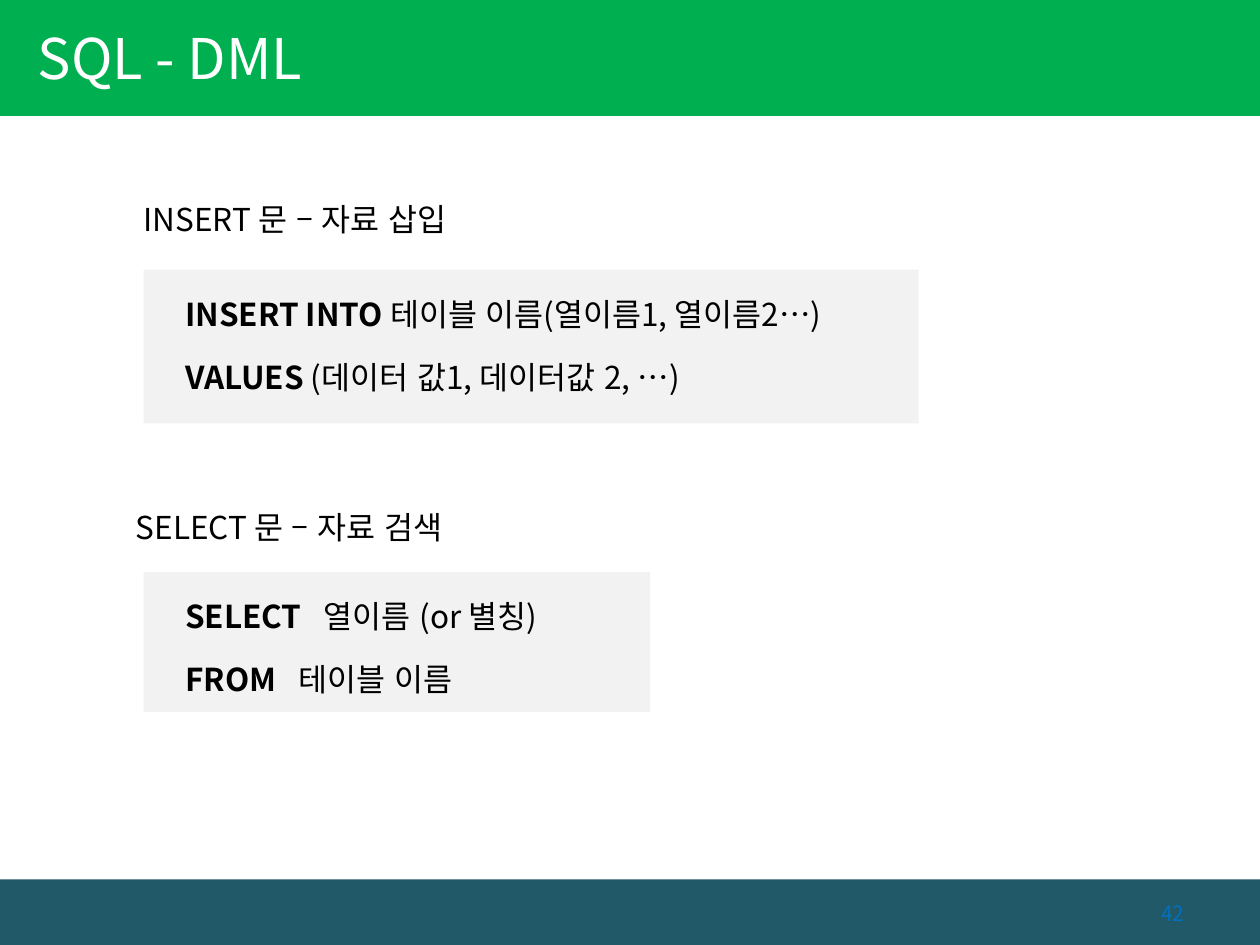
from lxml import etree
from pptx import Presentation
from pptx.dml.color import RGBColor
from pptx.enum.lang import MSO_LANGUAGE_ID
from pptx.enum.shapes import MSO_SHAPE
from pptx.enum.text import MSO_ANCHOR, PP_ALIGN
from pptx.oxml.ns import qn
from pptx.util import Inches, Pt

RECTANGLE = MSO_SHAPE.RECTANGLE
TOP, MIDDLE = MSO_ANCHOR.TOP, MSO_ANCHOR.MIDDLE
LEFT, RIGHT = PP_ALIGN.LEFT, PP_ALIGN.RIGHT
KOREAN = MSO_LANGUAGE_ID.KOREAN

THEME = {
    "font": "Noto Sans CJK KR",
    "title_size": 32, "body_size": 18, "number_size": 12,
    "white": "FFFFFF", "black": "000000", "header": "00B050",
    "footer": "215968", "blue": "0070C0", "panel": "F2F2F2",
}

TITLE = "SQL - DML"
PAGE_NUMBER = "42"
SECTIONS = [
    {
        "heading": "INSERT 문 – 자료 삽입", "heading_at": (1.04, 1.39, 3.56, 0.55),
        "panel_at": (1.14, 2.14, 6.15, 1.22),
        "lines": [("INSERT INTO ", "테이블 이름(열이름1, 열이름2…)", None),
                  ("VALUES", " (데이터 값1, 데이터값 2, …)", None)],
    },
    {
        "heading": "SELECT 문 – 자료 검색", "heading_at": (0.98, 3.83, 3.56, 0.55),
        "panel_at": (1.14, 4.54, 4.02, 1.11),
        "lines": [("SELECT\t", "열이름 (or 별칭)", 1.1),
                  ("FROM\t", "테이블 이름", 0.9)],
    },
]
BANDS = [
    ((0, 6.98, 10, 0.52), "footer"),
    ((0, 0, 10, 0.92), "header"),
]
PANEL_INSET = 0.33
LINE_SPACING = 1.5
SPACE_BEFORE = 3.6


def color(name):
    return RGBColor.from_string(THEME[name])


def add_block(slide, place, fill):
    shape = slide.shapes.add_shape(RECTANGLE, *map(Inches, place))
    shape.shadow.inherit = False
    shape.fill.solid()
    shape.fill.fore_color.rgb = color(fill)
    shape.line.fill.background()
    return shape


def set_frame(shape, anchor, inset=0.1):
    frame = shape.text_frame
    frame.word_wrap = True
    frame.vertical_anchor = anchor
    frame.margin_left = Inches(inset)
    return frame


def add_run(paragraph, text, size, ink, bold=False):
    run = paragraph.add_run()
    run.text = text
    run.font.name = THEME["font"]
    run.font.size = Pt(THEME[size])
    run.font.bold = bold
    run.font.language_id = KOREAN
    run.font.color.rgb = color(ink)
    properties = run.font._element
    etree.SubElement(properties, qn("a:ea")).set("typeface", THEME["font"])


def add_label(slide, text, place, size, ink, anchor, align=LEFT, inset=0.1, spacing=1.0):
    box = slide.shapes.add_textbox(*map(Inches, place))
    paragraph = set_frame(box, anchor, inset).paragraphs[0]
    paragraph.alignment = align
    paragraph.line_spacing = spacing
    add_run(paragraph, text, size, ink)


def add_tab(paragraph, position):
    tabs = etree.SubElement(paragraph._p.get_or_add_pPr(), qn("a:tabLst"))
    etree.SubElement(tabs, qn("a:tab"), pos=str(Inches(position)), algn="l")


def add_panel(slide, place, lines):
    frame = set_frame(add_block(slide, place, "panel"), TOP, PANEL_INSET)
    for index, (keyword, rest, tab) in enumerate(lines):
        paragraph = frame.add_paragraph() if index else frame.paragraphs[0]
        if tab:
            add_tab(paragraph, tab)
        paragraph.alignment = LEFT
        paragraph.line_spacing = LINE_SPACING
        if index:
            paragraph.space_before = Pt(SPACE_BEFORE)
        add_run(paragraph, keyword, "body_size", "black", True)
        add_run(paragraph, rest, "body_size", "black")


def main():
    """Build the SQL DML slide."""
    presentation = Presentation()
    presentation.slide_width, presentation.slide_height = Inches(10), Inches(7.5)
    slide = presentation.slides.add_slide(presentation.slide_layouts[6])
    for place, fill in BANDS:
        add_block(slide, place, fill)
    add_label(slide, TITLE, (0, -0.02, 6.26, 0.94), "title_size", "white", MIDDLE, inset=0.3)
    for section in SECTIONS:
        add_label(slide, section["heading"], section["heading_at"],
                  "body_size", "black", TOP, spacing=LINE_SPACING)
        add_panel(slide, section["panel_at"], section["lines"])
    add_label(slide, PAGE_NUMBER, (8.5, 7.05, 1, 0.4), "number_size", "blue", MIDDLE, RIGHT)
    presentation.save("out.pptx")


if __name__ == "__main__":
    main()
